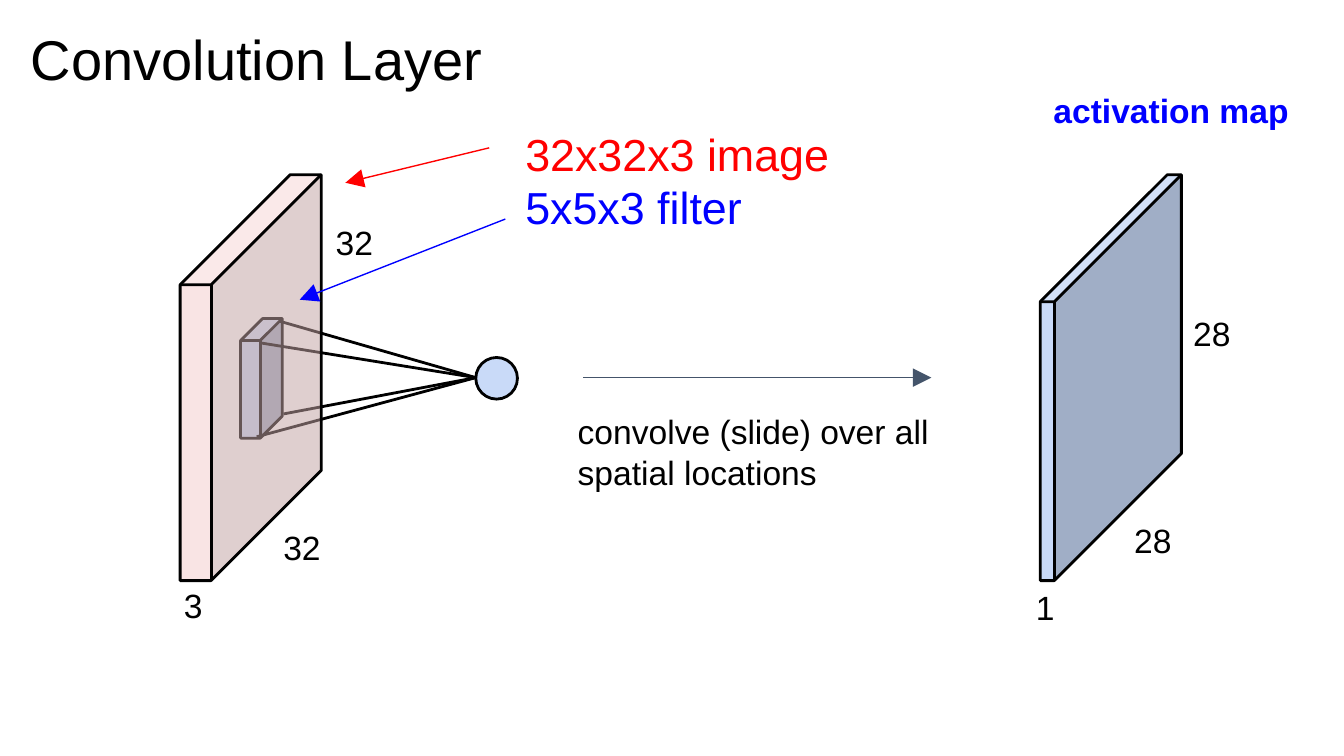
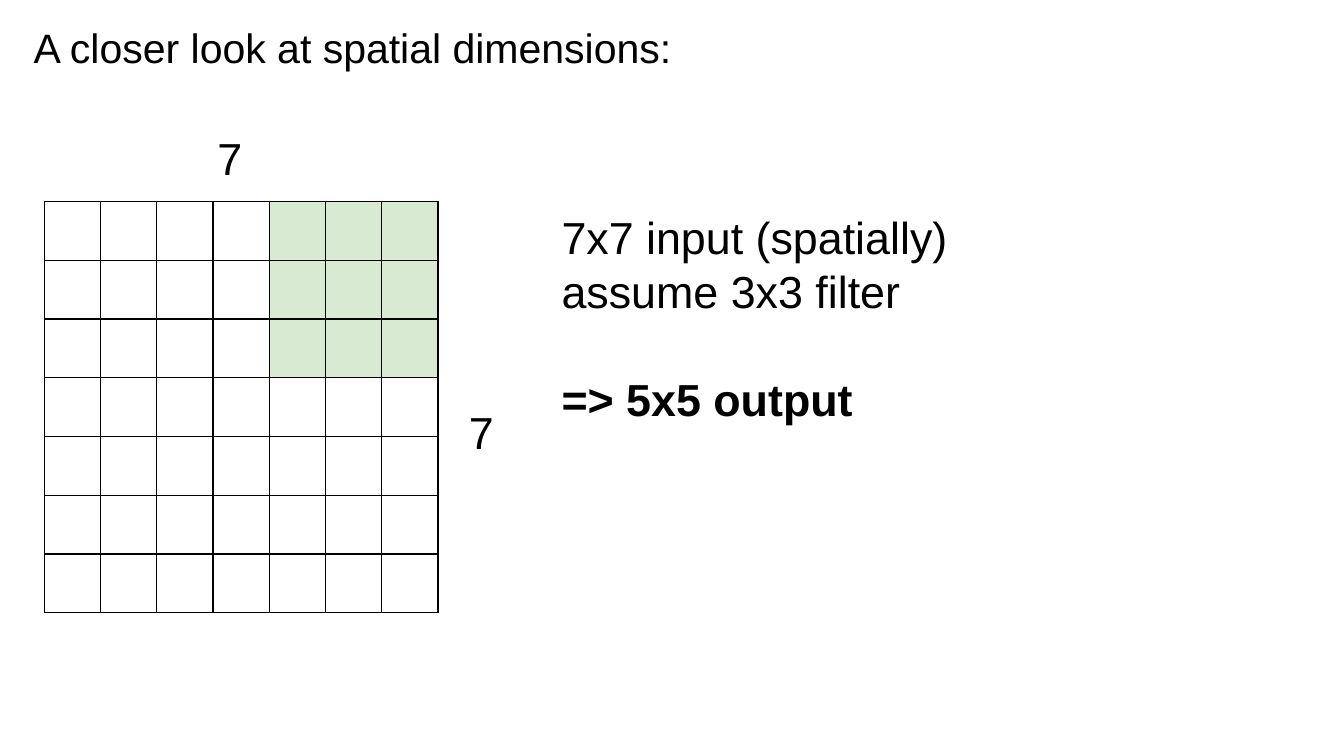
from lxml import etree
from pptx import Presentation
from pptx.dml.color import RGBColor
from pptx.enum.shapes import MSO_CONNECTOR, MSO_SHAPE
from pptx.enum.text import MSO_ANCHOR, MSO_AUTO_SIZE, PP_ALIGN
from pptx.oxml.ns import qn
from pptx.util import Emu, Pt

LINE = MSO_CONNECTOR.STRAIGHT
CUBE, OVAL = MSO_SHAPE.CUBE, MSO_SHAPE.OVAL
TOP, LEFT, FIXED = MSO_ANCHOR.TOP, PP_ALIGN.LEFT, MSO_AUTO_SIZE.NONE

SCALE = 9144  # EMU per px, 100 px to the inch
FONT = "Arial"
COLORS = {
    "black": "000000", "white": "FFFFFF", "red": "FF0000", "blue": "0000FF",
    "slate": "44546A", "pale": "C9DAF8", "pink": "F4CCCC", "green": "D9EAD3",
}


def px(n):
    return Emu(n * SCALE)


def rgb(name):
    return RGBColor.from_string(COLORS[name])


def place(shape, box):
    shape.left, shape.top, shape.width, shape.height = map(px, box)


def style(shape, lines, size):
    """Fill a shape with (text, color, bold) lines, one paragraph each."""
    frame = shape.text_frame
    frame.text = "\n".join(line[0] for line in lines)
    frame.word_wrap = True
    frame.auto_size = FIXED
    frame.vertical_anchor = TOP
    frame.margin_left = frame.margin_right = px(10)
    frame.margin_top = frame.margin_bottom = px(10)
    for para, (_, color, bold) in zip(frame.paragraphs, lines):
        para.alignment = LEFT
        para.line_spacing = 1.0
        for run in para.runs:
            font = run.font
            font.name, font.size, font.bold = FONT, Pt(size), bold
            font.color.rgb = rgb(color)
    return frame


def add_page(deck, title, box, size):
    slide = deck.slides.add_slide(deck.slide_layouts[5])
    place(slide.shapes.title, box)
    style(slide.shapes.title, [(title, "black", False)], size)
    return slide


def add_text(slide, box, lines, size):
    return style(slide.shapes.add_textbox(*map(px, box)), lines, size)


def add_label(slide, box, text, size=18, color="black", bold=False):
    add_text(slide, box, [(text, color, bold)], size)


def add_solid(slide, kind, box, fill, depth=None, alpha=None):
    """Draw an outlined shape; depth is a cube's slant, alpha its opacity in %."""
    shape = slide.shapes.add_shape(kind, *map(px, box))
    shape.shadow.inherit = False
    shape.fill.solid()
    shape.fill.fore_color.rgb = rgb(fill)
    shape.line.color.rgb = rgb("black")
    shape.line.width = Pt(1.5)
    if depth is not None:
        shape.adjustments[0] = depth
    if alpha is not None:
        tint = shape.fill._xPr.find(qn("a:solidFill"))[0]
        etree.SubElement(tint, qn("a:alpha"), val=str(alpha * 1000))


def add_line(slide, start, end, color="black", width=1.5, arrow=False):
    line = slide.shapes.add_connector(LINE, *map(px, start + end))
    line.line.color.rgb = rgb(color)
    line.line.width = Pt(width)
    if arrow:
        etree.SubElement(line.line._get_or_add_ln(), qn("a:tailEnd"),
                         type="triangle", w="lg", len="lg")
    etree.SubElement(line._element.spPr, qn("a:effectLst"))


def add_border(cell):
    props = cell._tc.get_or_add_tcPr()
    for spot, side in enumerate(("a:lnL", "a:lnR", "a:lnT", "a:lnB")):
        edge = etree.Element(qn(side), w=str(Pt(0.75)))
        fill = etree.SubElement(edge, qn("a:solidFill"))
        etree.SubElement(fill, qn("a:srgbClr"), val=COLORS["black"])
        props.insert(spot, edge)


def add_grid(slide, box, count, patch):
    """Draw a count x count grid with a green patch in its top right corner."""
    table = slide.shapes.add_table(count, count, *map(px, box)).table
    table.first_row = table.horz_banding = False
    for col in table.columns:
        col.width = px(box[2]) // count
    for y, row in enumerate(table.rows):
        row.height = px(box[3]) // count
        for x, cell in enumerate(row.cells):
            inside = y < patch and x >= count - patch
            cell.fill.solid()
            cell.fill.fore_color.rgb = rgb("green" if inside else "white")
            add_border(cell)


def draw_layer(deck):
    slide = add_page(deck, "Convolution Layer", (13, 8, 842, 69), 30)
    add_solid(slide, CUBE, (179, 237, 31, 89), "pale", 0.53)
    add_solid(slide, OVAL, (354, 266, 31, 31), "pale")
    for corner in ((191, 325), (193, 255), (208, 239), (211, 308)):
        add_line(slide, corner, (354, 281))
    add_solid(slide, CUBE, (134, 130, 105, 302), "pink", 0.78, 52)
    add_solid(slide, CUBE, (774, 130, 105, 302), "pale", 0.9)

    for start, end, color in (
        ((364, 110), (257, 136), "red"),
        ((376, 163), (223, 223), "blue"),
        ((434, 281), (693, 281), "slate"),
    ):
        add_line(slide, start, end, color, 0.75, True)

    for box, text in (
        ((201, 382, 54, 34), "32"),
        ((240, 155, 54, 31), "32"),
        ((127, 425, 54, 20), "3"),
        ((761, 427, 36, 34), "1"),
        ((834, 377, 54, 34), "28"),
        ((878, 223, 54, 34), "28"),
        ((420, 296, 358, 89), "convolve (slide) over all spatial locations"),
    ):
        add_label(slide, box, text)
    add_label(slide, (774, 57, 197, 59), "activation map", color="blue", bold=True)
    add_text(slide, (381, 84, 398, 60), [
        ("32x32x3 image", "red", False),
        ("5x5x3 filter", "blue", False),
    ], 24)


def draw_grid(deck):
    slide = add_page(deck, "A closer look at spatial dimensions:", (15, 7, 916, 66), 22)
    add_grid(slide, (33, 150, 293, 306), 7, 3)
    add_label(slide, (152, 87, 60, 50), "7", 24)
    add_label(slide, (339, 291, 64, 31), "7", 24)
    frame = add_text(slide, (408, 146, 560, 201), [
        ("7x7 input (spatially)", "black", False),
        ("assume 3x3 filter", "black", False),
        ("=> 5x5 output", "black", True),
    ], 24)
    frame.paragraphs[-1].space_before = Pt(29)


def main():
    deck = Presentation()
    deck.slide_width = px(1000)
    deck.slide_height = px(1000) * 9 // 16
    draw_layer(deck)
    draw_grid(deck)
    deck.save("out.pptx")


if __name__ == "__main__":
    main()
